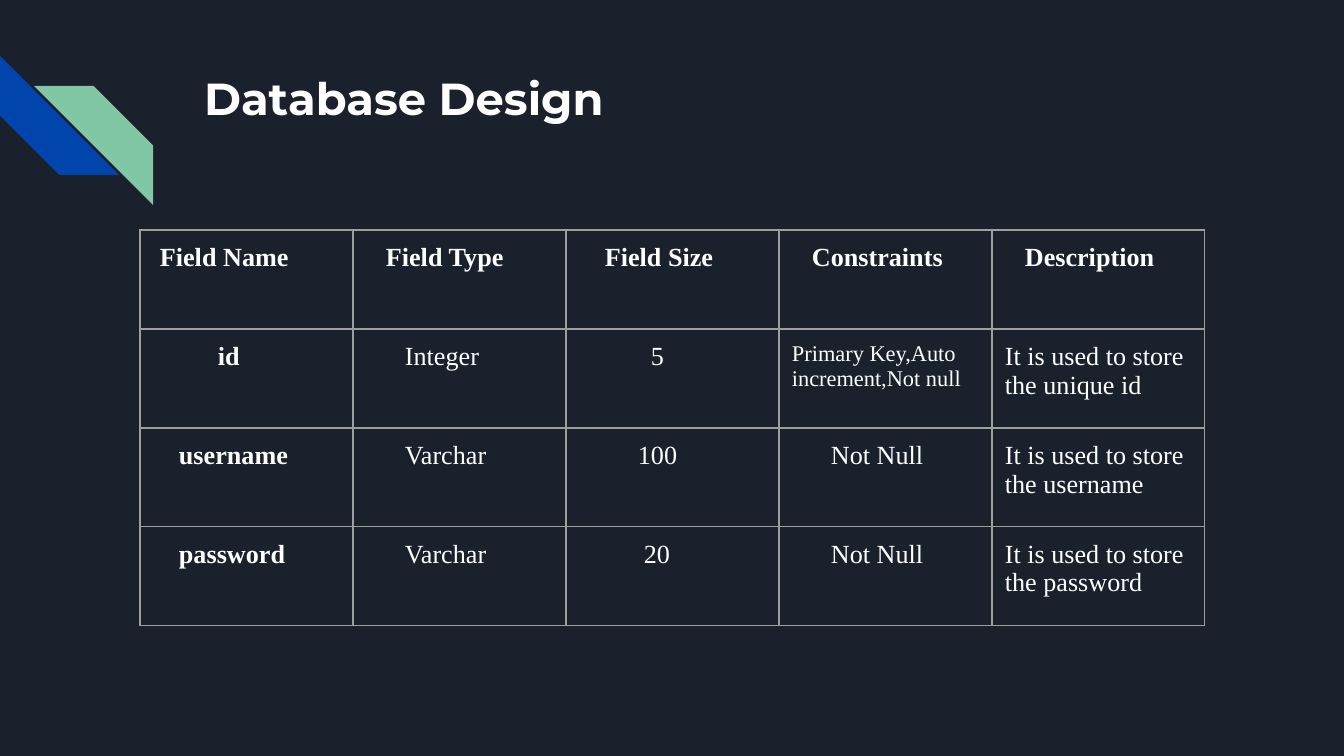
from dataclasses import dataclass

from lxml import etree
from pptx import Presentation
from pptx import util as u
from pptx.dml.color import RGBColor
from pptx.enum import shapes, text
from pptx.oxml import ns

EMU_PER_PX = 914400 / 134.4
BACKGROUND = RGBColor(0x1B, 0x21, 0x2C)
BLUE = RGBColor(0x01, 0x45, 0xAC)
GREEN = RGBColor(0x82, 0xC7, 0xA5)
WHITE = RGBColor(0xFF, 0xFF, 0xFF)
BORDER = RGBColor(0x9E, 0x9E, 0x9E)
INSET = 13
COLUMN_WIDTH = 213
ROW_HEIGHT = 99


@dataclass(frozen=True)
class Stripe:
    left: int
    top: int
    size: int
    rotation: int
    color: RGBColor


@dataclass(frozen=True)
class Entry:
    content: str
    indent: int = 0
    size: int = 14
    bold: bool = False


STRIPES = [
    Stripe(0, 56, 119, 270, BLUE),
    Stripe(34, 86, 119, 90, GREEN),
]

HEADER = [
    Entry("Field Name", 7, bold=True),
    Entry("Field Type", 20, bold=True),
    Entry("Field Size", 26, bold=True),
    Entry("Constraints", 20, bold=True),
    Entry("Description", 20, bold=True),
]
ROWS = [
    HEADER,
    [
        Entry("id", 65, bold=True),
        Entry("Integer", 39),
        Entry("5", 72),
        Entry("Primary Key,Auto increment,Not null", size=12),
        Entry("It is used to store the unique id"),
    ],
    [
        Entry("username", 26, bold=True),
        Entry("Varchar", 39),
        Entry("100", 59),
        Entry("Not Null", 39),
        Entry("It is used to store the username"),
    ],
    [
        Entry("password", 26, bold=True),
        Entry("Varchar", 39),
        Entry("20", 65),
        Entry("Not Null", 39),
        Entry("It is used to store the password"),
    ],
]


def px(length: int) -> u.Emu:
    return u.Emu(round(length * EMU_PER_PX))


def write(frame, content: str, *, font: str, size: int, bold: bool = False,
          indent: int = 0, color: RGBColor = WHITE) -> None:
    paragraph = frame.paragraphs[0]
    paragraph.alignment = text.PP_ALIGN.LEFT
    properties = paragraph._p.get_or_add_pPr()
    properties.set("marL", str(px(indent)))
    properties.set("indent", "0")
    run = paragraph.add_run()
    run.text = content
    run.font.name = font
    run.font.size = u.Pt(size)
    run.font.bold = bold
    run.font.color.rgb = color


def set_insets(target) -> None:
    for side in ("left", "top", "right", "bottom"):
        setattr(target, f"margin_{side}", px(INSET))


def draw_stripe(slide, stripe: Stripe) -> None:
    shape = slide.shapes.add_shape(
        shapes.MSO_SHAPE.DIAGONAL_STRIPE,
        px(stripe.left), px(stripe.top), px(stripe.size), px(stripe.size))
    shape.rotation = stripe.rotation
    shape.shadow.inherit = False
    shape.fill.solid()
    shape.fill.fore_color.rgb = stripe.color
    shape.line.fill.background()


def draw_title(slide, content: str) -> None:
    title = slide.shapes.title
    title.left, title.top, title.width, title.height = map(px, (191, 58, 1035, 134))
    frame = title.text_frame
    frame.word_wrap = True
    frame.auto_size = text.MSO_AUTO_SIZE.NONE
    frame.vertical_anchor = text.MSO_ANCHOR.TOP
    set_insets(frame)
    write(frame, content, font="Montserrat", size=24, bold=True)


def draw_borders(cell) -> None:
    properties = cell._tc.get_or_add_tcPr()
    for edge in ("a:lnL", "a:lnR", "a:lnT", "a:lnB"):
        line = etree.SubElement(properties, ns.qn(edge), w=str(u.Pt(0.75)))
        fill = etree.SubElement(line, ns.qn("a:solidFill"))
        etree.SubElement(fill, ns.qn("a:srgbClr"), val=str(BORDER))


def draw_cell(cell, entry: Entry) -> None:
    draw_borders(cell)
    cell.fill.background()
    set_insets(cell)
    cell.vertical_anchor = text.MSO_ANCHOR.TOP
    write(cell.text_frame, entry.content, font="Times New Roman",
          size=entry.size, bold=entry.bold, indent=entry.indent)


def draw_table(slide, rows: list[list[Entry]], left: int, top: int) -> None:
    column_count = len(rows[0])
    table = slide.shapes.add_table(
        len(rows), column_count, px(left), px(top),
        px(column_count * COLUMN_WIDTH), px(len(rows) * ROW_HEIGHT)).table
    table.first_row = False
    table.horz_banding = False
    for column in table.columns:
        column.width = px(COLUMN_WIDTH)
    for row, entries in zip(table.rows, rows):
        row.height = px(ROW_HEIGHT)
        for cell, entry in zip(row.cells, entries):
            draw_cell(cell, entry)


def main() -> None:
    presentation = Presentation()
    presentation.slide_width = px(1344)
    presentation.slide_height = px(756)
    slide = presentation.slides.add_slide(presentation.slide_layouts[5])
    slide.background.fill.solid()
    slide.background.fill.fore_color.rgb = BACKGROUND
    for stripe in STRIPES:
        draw_stripe(slide, stripe)
    draw_title(slide, "Database Design")
    draw_table(slide, ROWS, left=140, top=230)
    presentation.save("out.pptx")


if __name__ == "__main__":
    main()
